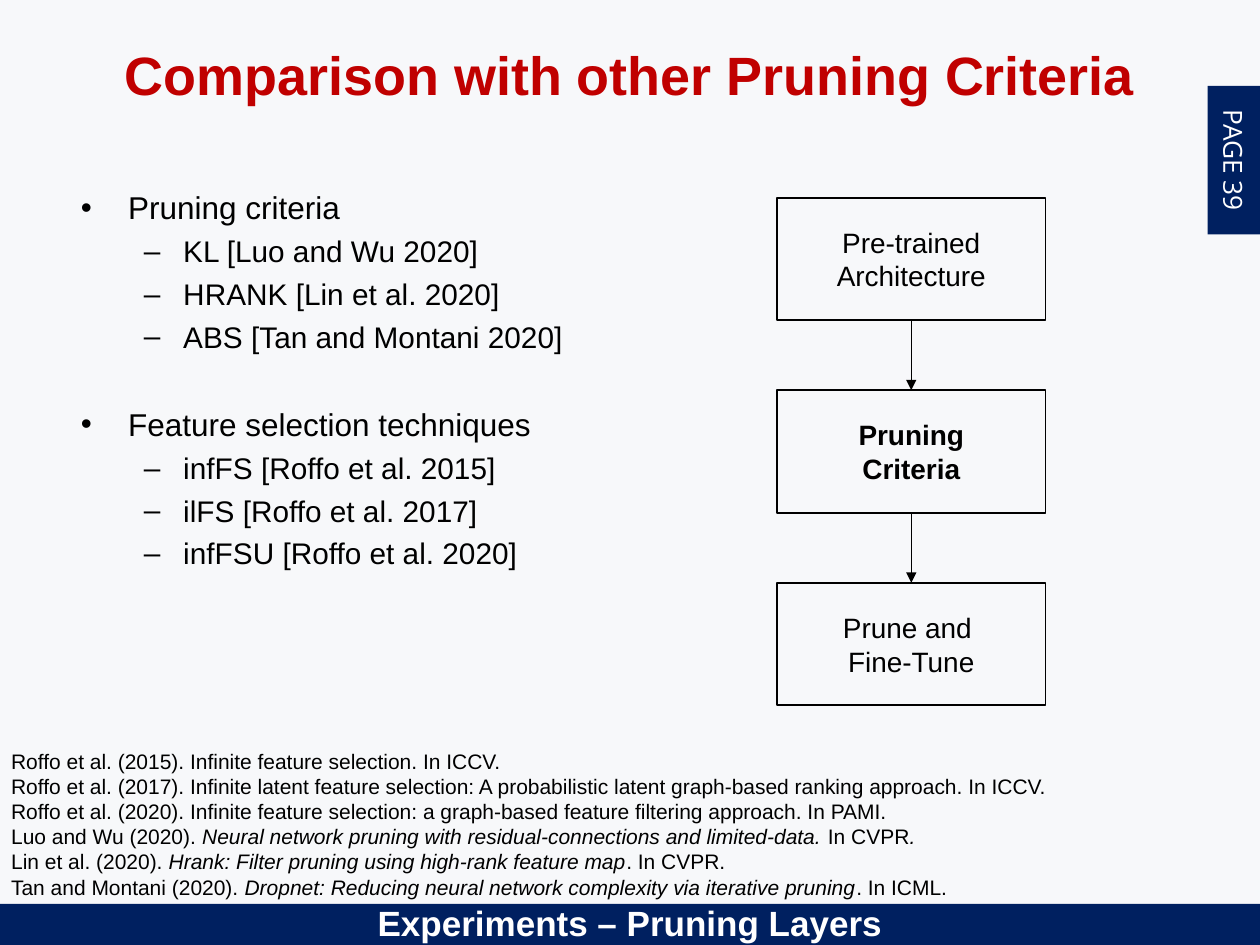
from dataclasses import dataclass

from lxml.etree import SubElement
from pptx import Presentation
from pptx.dml.color import RGBColor
from pptx.enum.shapes import MSO_CONNECTOR, MSO_SHAPE
from pptx.enum.text import MSO_ANCHOR, MSO_AUTO_SIZE, PP_ALIGN
from pptx.oxml.ns import qn
from pptx.util import Pt

NAVY, RED, BLACK, WHITE, PAPER = "002060", "C00000", "000000", "FFFFFF", "F7F8FA"


@dataclass
class Step:
    lines: list[str]
    bold: bool = False


@dataclass
class Topic:
    heading: str
    items: list[str]
    space_before: float


@dataclass
class Reference:
    runs: list[tuple[str, bool]]  # text, italic


STEPS = [
    Step(["Pre-trained", "Architecture"]),
    Step(["Pruning", "Criteria"], bold=True),
    Step(["Prune and ", "Fine-Tune"]),
]
TOPICS = [
    Topic("Pruning criteria", ["KL [Luo and Wu 2020]", "HRANK [Lin et al. 2020]",
                               "ABS [Tan and Montani 2020]"], 0),
    Topic("Feature selection techniques", ["infFS [Roffo et al. 2015]", "ilFS [Roffo et al. 2017]",
                                           "infFSU [Roffo et al. 2020]"], 29),
]
REFERENCES = [
    Reference([("Roffo et al. (2015). Infinite feature selection. In ICCV.", False)]),
    Reference([("Roffo et al. (2017). Infinite latent feature selection: A probabilistic latent "
                "graph-based ranking approach. In ICCV.", False)]),
    Reference([("Roffo et al. (2020). Infinite feature selection: a graph-based feature "
                "filtering approach. In PAMI.", False)]),
    Reference([("Luo and Wu (2020). ", False),
               ("Neural network pruning with residual-connections and limited-data. ", True),
               ("In CVPR", False), (".", True)]),
    Reference([("Lin et al. (2020). ", False),
               ("Hrank: Filter pruning using high-rank feature map", True),
               (". In CVPR.", False)]),
    Reference([("Tan and Montani (2020). ", False),
               ("Dropnet: Reducing neural network complexity via iterative pruning", True),
               (". In ICML.", False)]),
]


def rgb(color: str) -> RGBColor:
    return RGBColor.from_string(color)


def place(sp, x: float, y: float, w: float, h: float) -> None:
    sp.left, sp.top, sp.width, sp.height = Pt(x), Pt(y), Pt(w), Pt(h)


def set_frame(tf, anchor=MSO_ANCHOR.TOP) -> None:
    tf.word_wrap = True
    tf.auto_size = MSO_AUTO_SIZE.NONE
    tf.vertical_anchor = anchor


def next_paragraph(tf, align=PP_ALIGN.LEFT):
    """Return the unused first paragraph, or a new one."""
    p = tf.paragraphs[0]
    if p.runs:
        p = tf.add_paragraph()
    p.alignment = align
    return p


def add_run(p, text: str, size: float, color: str = BLACK, bold: bool = False,
            italic: bool = False, font: str = "Arial") -> None:
    r = p.add_run()
    r.text = text
    r.font.name, r.font.size = font, Pt(size)
    r.font.bold, r.font.italic = bold, italic
    r.font.color.rgb = rgb(color)


def add_box(s, x: float, y: float, w: float, h: float, fill: str = "", line: str = ""):
    sp = s.shapes.add_shape(MSO_SHAPE.RECTANGLE, Pt(x), Pt(y), Pt(w), Pt(h))
    sp.shadow.inherit = False
    if fill:
        sp.fill.solid()
        sp.fill.fore_color.rgb = rgb(fill)
    else:
        sp.fill.background()
    if line:
        sp.line.color.rgb = rgb(line)
        sp.line.width = Pt(1)
    else:
        sp.line.fill.background()
    set_frame(sp.text_frame, MSO_ANCHOR.MIDDLE)
    return sp


def add_text(s, x: float, y: float, w: float, h: float):
    tf = s.shapes.add_textbox(Pt(x), Pt(y), Pt(w), Pt(h)).text_frame
    set_frame(tf)
    return tf


def add_arrow(s, x: float, y1: float, y2: float) -> None:
    c = s.shapes.add_connector(MSO_CONNECTOR.STRAIGHT, Pt(x), Pt(y1), Pt(x), Pt(y2))
    c.line.color.rgb = rgb(BLACK)
    c.line.width = Pt(0.5)
    SubElement(c.line._get_or_add_ln(), qn("a:tailEnd"), type="triangle")
    SubElement(c._element.spPr, qn("a:effectLst"))


def add_bullet(tf, text: str, level: int, size: float, before: float,
               margin: float, hang: float) -> None:
    p = next_paragraph(tf)
    p.level = level
    pPr = p._p.get_or_add_pPr()
    pPr.set("marL", str(Pt(margin)))
    pPr.set("indent", str(-Pt(hang)))
    p.space_before = Pt(before)
    add_run(p, text, size)


def add_flow(s, x: float, y: float, w: float, h: float, gap: float) -> None:
    for i, step in enumerate(STEPS):
        top = y + i * (h + gap)
        tf = add_box(s, x, top, w, h, line=BLACK).text_frame
        for text in step.lines:
            add_run(next_paragraph(tf, PP_ALIGN.CENTER), text, 16, bold=step.bold)
        if i:
            add_arrow(s, x + w / 2, top - gap, top)


def main() -> None:
    prs = Presentation()
    prs.slide_width, prs.slide_height = Pt(720), Pt(540)
    s = prs.slides.add_slide(prs.slide_layouts[1])
    s.background.fill.solid()
    s.background.fill.fore_color.rgb = rgb(PAPER)

    # Title
    title = s.shapes.title
    place(title, 36, 8.5, 648, 68)
    set_frame(title.text_frame, MSO_ANCHOR.MIDDLE)
    add_run(next_paragraph(title.text_frame, PP_ALIGN.CENTER),
            "Comparison with other Pruning Criteria", 30.8, RED, bold=True)

    # Bulleted list
    body = s.placeholders[1]
    place(body, 39, 104, 411, 314)
    set_frame(body.text_frame)
    for topic in TOPICS:
        add_bullet(body.text_frame, topic.heading, 0, 18, topic.space_before, 27, 27)
        for item in topic.items:
            add_bullet(body.text_frame, item, 1, 17, 4, 58.5, 22.5)

    # Flow of three steps
    add_flow(s, 444, 113, 153.5, 70, 40)

    # Page tab, turned on its side
    tab = add_box(s, 662.5, 76.5, 85, 30, fill=NAVY)
    tab.rotation = 90
    add_run(next_paragraph(tab.text_frame, PP_ALIGN.CENTER), "PAGE 39", 15, WHITE,
            font="Open Sans")

    # Footer bar and section name
    add_box(s, 0, 516.5, 720, 23.5, fill=NAVY)
    tf = add_text(s, 139.5, 511.5, 441, 26)
    add_run(next_paragraph(tf, PP_ALIGN.CENTER), "Experiments – Pruning Layers", 20, WHITE,
            bold=True)

    # References
    tf = add_text(s, -0.7, 424, 662, 91)
    for reference in REFERENCES:
        p = next_paragraph(tf)
        for text, italic in reference.runs:
            add_run(p, text, 12, italic=italic)

    prs.save("out.pptx")


if __name__ == "__main__":
    main()
